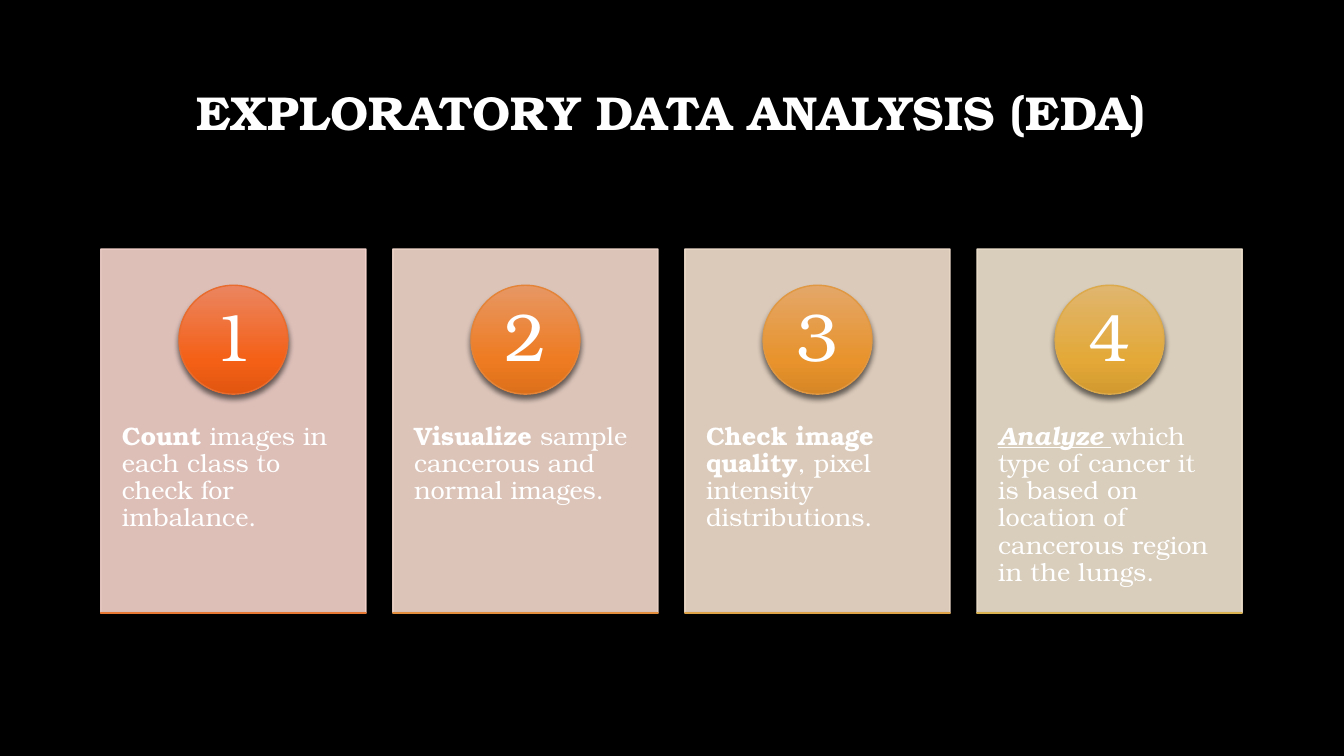
from copy import deepcopy
from dataclasses import dataclass

from lxml.etree import SubElement
from pptx import Presentation
from pptx.dml.color import RGBColor
from pptx.enum.shapes import MSO_SHAPE as Preset
from pptx.enum.text import MSO_ANCHOR as Anchor, PP_ALIGN as Align
from pptx.oxml.ns import qn
from pptx.shapes.autoshape import Shape
from pptx.slide import Slide
from pptx.util import Inches, Pt

FONT = "TeX Gyre Bonum"
COLORS = {"background": "000000", "text": "FFFFFF", "shadow": "000000"}
FORMATS = {
    "title": {"size": Pt(34), "bold": True},
    "number": {"size": Pt(48)},
    "lead": {"size": Pt(18), "bold": True},
    "marked": {"size": Pt(18), "bold": True, "italic": True, "underline": True},
    "body": {"size": Pt(18)},
}
CARD_LEFT, CARD_TOP = 1, 2.47
CARD_WIDTH, CARD_HEIGHT = 2.63, 3.61
ROW_WIDTH = 11.32
CIRCLE_SIZE, CIRCLE_TOP = 1.08, 2.83
NUMBER_SIZE, NUMBER_TOP = 0.77, 2.99


@dataclass(frozen=True)
class Box:
    left: float
    top: float
    width: float
    height: float

    def lengths(self) -> list[Inches]:
        return [Inches(v) for v in (self.left, self.top, self.width, self.height)]


@dataclass(frozen=True)
class Glow:
    stops: tuple[str, str, str]
    line: str


@dataclass(frozen=True)
class Card:
    lead: str
    body: str
    panel: str
    circle: Glow
    base: Glow
    lead_format: str = "lead"


CARDS = [
    Card("Count", " images in each class to check for imbalance.", "F6D4CD",
         Glow(("EB8560", "F46016", "E15610"), "E86C2E"),
         Glow(("E98E62", "F16E1C", "DE6315"), "E67833")),
    Card("Visualize", " sample cancerous and normal images.", "F4DACE",
         Glow(("E79764", "EE7B21", "DC701A"), "E48438"),
         Glow(("E59F67", "EB8827", "D97B1F"), "E28E3D")),
    Card("Check image quality", ", pixel intensity distributions.", "F3E0CF",
         Glow(("E4A769", "E8932C", "D68625"), "E09842"),
         Glow(("E2AF6C", "E59E32", "D4902A"), "DEA247")),
    Card("Analyze ", "which type of cancer it is based on location of cancerous region in the lungs.",
         "F1E4D0",
         Glow(("E0B66F", "E3A837", "D1992F"), "DCAA4B"),
         Glow(("DFBD72", "E0B13C", "CFA233"), "DAB250"), "marked"),
]


def add_text(slide: Slide, box: Box, runs: list[tuple[str, str]],
             insets: tuple[float, float, float, float],
             anchor: Anchor = Anchor.TOP, align: Align = Align.LEFT) -> None:
    frame = slide.shapes.add_textbox(*box.lengths()).text_frame
    left, top, right, bottom = (Inches(inset) for inset in insets)
    settings = {"word_wrap": True, "vertical_anchor": anchor, "margin_left": left,
                "margin_top": top, "margin_right": right, "margin_bottom": bottom}
    for name, value in settings.items():
        setattr(frame, name, value)
    paragraph = frame.paragraphs[0]
    paragraph.alignment = align
    paragraph.line_spacing = 0.9
    for text, style in runs:
        run = paragraph.add_run()
        run.text = text
        run.font.name = FONT
        run.font.color.rgb = RGBColor.from_string(COLORS["text"])
        for name, value in FORMATS[style].items():
            setattr(run.font, name, value)


def add_outlined(slide: Slide, preset: Preset, box: Box, line: str) -> Shape:
    shape = slide.shapes.add_shape(preset, *box.lengths())
    shape.line.color.rgb = RGBColor.from_string(line)
    shape.line.width = Pt(1)
    shape.shadow.inherit = False
    return shape


def add_panel(slide: Slide, box: Box, color: str) -> None:
    shape = add_outlined(slide, Preset.RECTANGLE, box, color)
    shape.fill.solid()
    shape.fill.fore_color.rgb = RGBColor.from_string(color)
    for tone in shape._element.spPr.iter(qn("a:srgbClr")):
        SubElement(tone, qn("a:alpha"), val="90000")


def add_glowing(slide: Slide, preset: Preset, box: Box, glow: Glow) -> None:
    shape = add_outlined(slide, preset, box, glow.line)
    shape.fill.gradient()
    shape.fill.gradient_angle = 270
    properties = shape._element.spPr
    stop_list = properties.find(".//" + qn("a:gsLst"))
    stop_list.append(deepcopy(stop_list[-1]))
    for stop, position, color in zip(shape.fill.gradient_stops, (0, 0.69, 1), glow.stops):
        stop.position = position
        stop.color.rgb = RGBColor.from_string(color)
    shadow = SubElement(properties.find(qn("a:effectLst")), qn("a:outerShdw"),
                        blurRad=str(Pt(4)), dist=str(Pt(3)), dir="5400000", rotWithShape="0")
    tone = SubElement(shadow, qn("a:srgbClr"), val=COLORS["shadow"])
    SubElement(tone, qn("a:alpha"), val="54000")


def add_card(slide: Slide, card: Card, index: int) -> None:
    pitch = (ROW_WIDTH - CARD_WIDTH) / (len(CARDS) - 1)
    left = CARD_LEFT + index * pitch
    circle_left = left + (CARD_WIDTH - CIRCLE_SIZE) / 2
    number_left = left + (CARD_WIDTH - NUMBER_SIZE) / 2
    add_panel(slide, Box(left, CARD_TOP, CARD_WIDTH, CARD_HEIGHT), card.panel)
    add_text(slide, Box(left, 3.84, CARD_WIDTH, 2.17),
             [(card.lead, card.lead_format), (card.body, "body")], (0.21, 0.36, 0.21, 0.36))
    add_glowing(slide, Preset.OVAL, Box(circle_left, CIRCLE_TOP, CIRCLE_SIZE, CIRCLE_SIZE), card.circle)
    add_text(slide, Box(number_left, NUMBER_TOP, NUMBER_SIZE, NUMBER_SIZE),
             [(str(index + 1), "number")], (0.08, 0.01, 0.08, 0.01), Anchor.MIDDLE, Align.CENTER)
    add_glowing(slide, Preset.RECTANGLE, Box(left, CARD_TOP + CARD_HEIGHT, CARD_WIDTH, 0), card.base)


def main() -> None:
    presentation = Presentation()
    presentation.slide_width = Inches(13.33)
    presentation.slide_height = Inches(7.5)
    slide = presentation.slides.add_slide(presentation.slide_layouts[6])
    slide.background.fill.solid()
    slide.background.fill.fore_color.rgb = RGBColor.from_string(COLORS["background"])
    add_text(slide, Box(CARD_LEFT, 0.67, ROW_WIDTH, 1.45),
             [("EXPLORATORY DATA ANALYSIS (EDA)", "title")],
             (0.1, 0.05, 0.1, 0.56), Anchor.MIDDLE, Align.CENTER)
    for index, card in enumerate(CARDS):
        add_card(slide, card, index)
    presentation.save("out.pptx")


if __name__ == "__main__":
    main()
